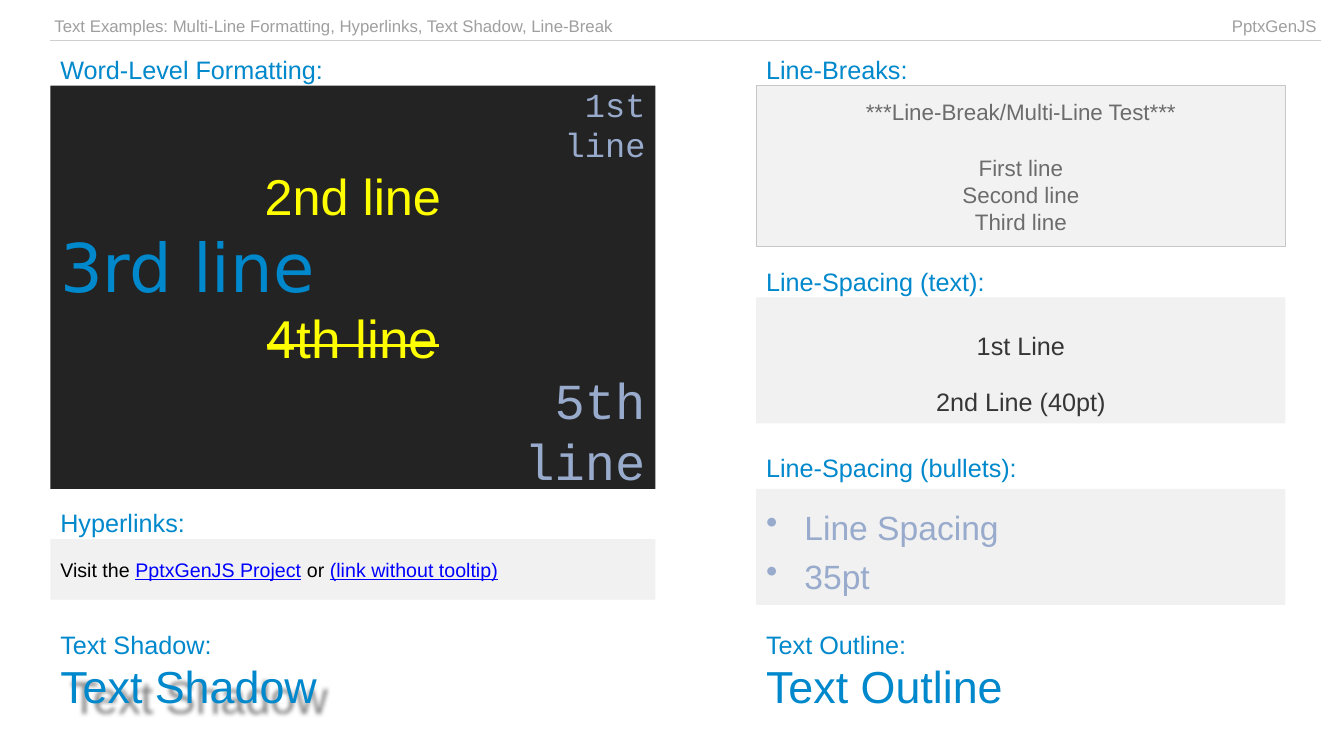
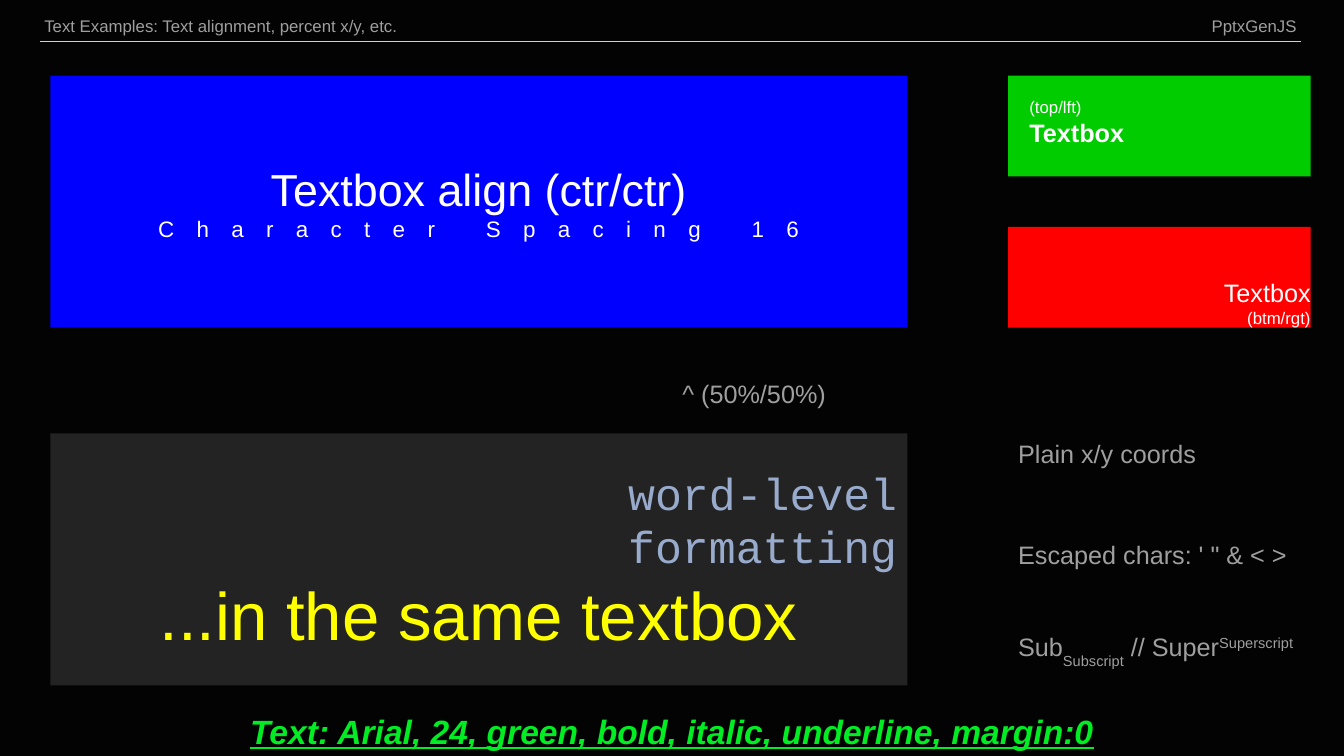
import dataclasses

import lxml.etree
import pptx
import pptx.dml.color
import pptx.enum.shapes
import pptx.enum.text
import pptx.oxml
import pptx.oxml.ns
import pptx.util

RGBColor = pptx.dml.color.RGBColor
Align = pptx.enum.text.PP_ALIGN
Anchor = pptx.enum.text.MSO_ANCHOR

EMU_PER_PX = 9144  # 100 px to the inch
SLIDE_WIDTH, SLIDE_HEIGHT = 1333, 750

WHITE = RGBColor(0xFF, 0xFF, 0xFF)
BLACK = RGBColor(0x00, 0x00, 0x00)
NEAR_BLACK = RGBColor(0x03, 0x03, 0x03)
CHARCOAL = RGBColor(0x23, 0x23, 0x23)
DARK_GRAY = RGBColor(0x36, 0x36, 0x36)
MEDIUM_GRAY = RGBColor(0x6C, 0x6C, 0x6C)
LABEL_GRAY = RGBColor(0x9F, 0x9F, 0x9F)
BORDER_GRAY = RGBColor(0xC7, 0xC7, 0xC7)
RULE_GRAY = RGBColor(0xCF, 0xCF, 0xCF)
PANEL_GRAY = RGBColor(0xF1, 0xF1, 0xF1)
BREAKS_GRAY = RGBColor(0xF2, 0xF2, 0xF2)
SHADOW_GRAY = RGBColor(0x69, 0x69, 0x69)
SKY_BLUE = RGBColor(0x00, 0x88, 0xCC)
PALE_BLUE = RGBColor(0x99, 0xAB, 0xCC)
LINK_BLUE = RGBColor(0x00, 0x00, 0xFF)
YELLOW = RGBColor(0xFF, 0xFF, 0x00)
RED = RGBColor(0xFF, 0x00, 0x00)
GREEN = RGBColor(0x00, 0xCC, 0x00)
OUTLINE_GREEN = RGBColor(0x00, 0xDD, 0x00)
BRIGHT_GREEN = RGBColor(0x00, 0xEC, 0x23)

SANS = "Arial"
MONO = "Courier New"
WIDE = "DejaVu Sans"
NO_TABLE_STYLE = "{2D5ABB26-0587-4C30-8999-92F81FD0307C}"
DRAWING_NAMESPACE = pptx.oxml.ns.nsdecls("a")


@dataclasses.dataclass
class Run:
    """Text with its font; extra holds raw run attributes such as baseline."""
    text: str
    size: int
    color: RGBColor
    name: str = SANS
    style: dict = dataclasses.field(default_factory=dict)
    extra: dict = dataclasses.field(default_factory=dict)
    outline: RGBColor = None


@dataclasses.dataclass
class Paragraph:
    runs: list
    align: Align = Align.LEFT
    layout: dict = dataclasses.field(default_factory=dict)
    bullet: bool = False


def px(length):
    return pptx.util.Emu(length * EMU_PER_PX)


def line(text, size, color, align=Align.LEFT, layout=None, bullet=False, **run_format):
    """Return a paragraph of one run."""
    return Paragraph([Run(text, size, color, **run_format)], align, layout or {}, bullet)


def set_attributes(target, values):
    for name, value in values.items():
        setattr(target, name, value)


def solid_line(tag, width, color):
    return pptx.oxml.parse_xml(
        f'<a:{tag} {DRAWING_NAMESPACE} w="{width}"><a:solidFill>'
        f'<a:srgbClr val="{color}"/></a:solidFill></a:{tag}>')


def write_run(paragraph, content):
    run = paragraph.add_run()
    run.text = content.text
    font_values = {"size": pptx.util.Pt(content.size), "name": content.name}
    set_attributes(run.font, font_values | content.style)
    run.font.color.rgb = content.color
    properties = run.font._element
    for name, value in content.extra.items():
        properties.set(name, value)
    if content.outline is not None:
        properties.insert(0, solid_line("ln", pptx.util.Pt(1.5), content.outline))


def add_bullet(paragraph, indent):
    properties = paragraph._p.get_or_add_pPr()
    properties.set("marL", str(px(indent)))
    properties.set("indent", str(-px(indent)))
    bullet = lxml.etree.SubElement(properties, pptx.oxml.ns.qn("a:buChar"))
    bullet.set("char", "•")


def write_paragraphs(text_frame, contents):
    for index, content in enumerate(contents):
        paragraph = text_frame.add_paragraph() if index else text_frame.paragraphs[0]
        if content.bullet:
            add_bullet(paragraph, 38)
        set_attributes(paragraph, {"alignment": content.align} | content.layout)
        for run in content.runs:
            write_run(paragraph, run)


def fill_text_frame(shape, contents, anchor, inset):
    text_frame = shape.text_frame
    set_attributes(text_frame, {"word_wrap": True, "vertical_anchor": anchor})
    if inset is not None:
        sides = ("margin_left", "margin_top", "margin_right", "margin_bottom")
        set_attributes(text_frame, dict.fromkeys(sides, px(inset)))
    write_paragraphs(text_frame, contents)


def add_text(slide, box, *contents, inset=None):
    shape = slide.shapes.add_textbox(*map(px, box))
    fill_text_frame(shape, contents, Anchor.MIDDLE, inset)
    return shape


def add_panel(slide, box, fill, *contents, border=None, anchor=Anchor.MIDDLE, inset=None):
    shape = slide.shapes.add_shape(
        pptx.enum.shapes.MSO_SHAPE.RECTANGLE, *map(px, box))
    shape.shadow.inherit = False
    shape.fill.solid()
    shape.fill.fore_color.rgb = fill
    if border is None:
        shape.line.fill.background()
    else:
        shape.line.color.rgb = border
        shape.line.width = pptx.util.Pt(0.75)
    fill_text_frame(shape, contents, anchor, inset)


def add_text_shadow(shape):
    distance, blur = pptx.util.Pt(10), pptx.util.Pt(3)
    shape._element.spPr.append(pptx.oxml.parse_xml(
        f'<a:effectLst {DRAWING_NAMESPACE}><a:outerShdw blurRad="{blur}" dist="{distance}" '
        f'dir="2700000" algn="bl" rotWithShape="0"><a:srgbClr val="{SHADOW_GRAY}">'
        f'<a:alpha val="80000"/></a:srgbClr></a:outerShdw></a:effectLst>'))


def add_header(slide, left, widths, title):
    """Add the title row, ruled along its bottom edge."""
    table = slide.shapes.add_table(
        1, 2, *map(px, (left, 13, sum(widths), 27))).table
    set_attributes(table, {"first_row": False, "horz_banding": False})
    table._tbl.tblPr.find(pptx.oxml.ns.qn("a:tableStyleId")).text = NO_TABLE_STYLE
    cells = ((title, Align.LEFT), ("PptxGenJS", Align.RIGHT))
    for index, (text, align) in enumerate(cells):
        table.columns[index].width = px(widths[index])
        cell = table.cell(0, index)
        sides = ("margin_left", "margin_top", "margin_right", "margin_bottom")
        set_attributes(cell, dict.fromkeys(sides, px(4)))
        cell.fill.background()
        cell._tc.get_or_add_tcPr().insert(
            0, solid_line("lnB", pptx.util.Pt(1), RULE_GRAY))
        write_paragraphs(cell.text_frame, [line(text, 12, LABEL_GRAY, align)])


def add_slide(presentation, background):
    slide = presentation.slides.add_slide(presentation.slide_layouts[6])
    slide.background.fill.solid()
    slide.background.fill.fore_color.rgb = background
    return slide


def build_formatting_slide(presentation):
    slide = add_slide(presentation, WHITE)
    add_header(slide, 50, (630, 630),
               "Text Examples: Multi-Line Formatting, Hyperlinks, Text Shadow, Line-Break")
    left, right, panel_width = 50, 750, 525

    headings = (
        (left, 50, "Word-Level Formatting:"),
        (left, 499, "Hyperlinks:"),
        (left, 620, "Text Shadow:"),
        (right, 50, "Line-Breaks:"),
        (right, 260, "Line-Spacing (text):"),
        (right, 445, "Line-Spacing (bullets):"),
        (right, 620, "Text Outline:"),
    )
    for x, y, heading in headings:
        add_text(slide, (x, y, 533, 38), line(heading, 18, SKY_BLUE))

    add_panel(
        slide, (left, 85, 600, 400), CHARCOAL,
        line("1st", 24, PALE_BLUE, Align.RIGHT, name=MONO),
        line("line", 24, PALE_BLUE, Align.RIGHT, name=MONO),
        line("2nd line", 36, YELLOW, Align.CENTER),
        line("3rd line", 48, SKY_BLUE, name=WIDE),
        line("4th line", 38, YELLOW, Align.CENTER, extra={"strike": "sngStrike"}),
        line("5th", 36, PALE_BLUE, Align.RIGHT, name=MONO),
        line("line", 36, PALE_BLUE, Align.RIGHT, name=MONO))

    link_style = {"underline": True}
    add_panel(slide, (left, 535, 600, 60), PANEL_GRAY, Paragraph([
        Run("Visit the ", 14, BLACK),
        Run("PptxGenJS Project", 14, LINK_BLUE, style=link_style),
        Run(" or ", 14, BLACK),
        Run("(link without tooltip)", 14, LINK_BLUE, style=link_style)]))

    after_gap = {"space_before": pptx.util.Pt(21)}
    breaks = (("***Line-Break/Multi-Line Test***", {}), ("First line", after_gap),
              ("Second line", {}), ("Third line", {}))
    add_panel(
        slide, (right, 85, panel_width, 160), BREAKS_GRAY,
        *(line(text, 16, MEDIUM_GRAY, Align.CENTER, layout) for text, layout in breaks),
        border=BORDER_GRAY)

    wide_spacing = {"line_spacing": pptx.util.Pt(40)}
    add_panel(
        slide, (right, 295, panel_width, 125), PANEL_GRAY,
        *(line(text, 18, DARK_GRAY, Align.CENTER, wide_spacing)
          for text in ("1st Line", "2nd Line (40pt)")))

    bullet_spacing = {"line_spacing": pptx.util.Pt(35)}
    add_panel(
        slide, (right, 485, panel_width, 115), PANEL_GRAY,
        *(line(text, 24, PALE_BLUE, layout=bullet_spacing, bullet=True)
          for text in ("Line Spacing", "35pt")))

    shadowed = add_text(slide, (left, 650, 533, 60), line("Text Shadow", 32, SKY_BLUE))
    add_text_shadow(shadowed)
    add_text(slide, (right, 650, 533, 60),
             line("Text Outline", 32, SKY_BLUE, outline=OUTLINE_GREEN))


def build_alignment_slide(presentation):
    slide = add_slide(presentation, NEAR_BLACK)
    add_header(slide, 40, (900, 350), "Text Examples: Text alignment, percent x/y, etc.")
    left, right = 50, 1000

    add_panel(
        slide, (left, 75, 850, 250), LINK_BLUE,
        line("Textbox align (ctr/ctr)", 32, WHITE, Align.CENTER),
        line("Character Spacing 16", 16, WHITE, Align.CENTER, extra={"spc": "1600"}))
    add_panel(
        slide, (right, 75, 300, 100), GREEN,
        line("(top/lft)", 12, WHITE),
        line("Textbox", 18, WHITE, style={"bold": True}),
        anchor=Anchor.TOP, inset=21)
    add_panel(
        slide, (right, 225, 300, 100), RED,
        line("Textbox", 18, WHITE, Align.RIGHT),
        line("(btm/rgt)", 12, WHITE, Align.RIGHT),
        anchor=Anchor.BOTTOM, inset=0)

    labels = (
        (667, 375, 200, "^ (50%/50%)"),
        (right, 435, 300, "Plain x/y coords"),
        (right, 535, 300, "Escaped chars: ' \" & < >"),
    )
    for x, y, width, label in labels:
        add_text(slide, (x, y, width, 30), line(label, 18, LABEL_GRAY))
    add_text(slide, (right, 630, 330, 30), Paragraph([
        Run("Sub", 18, LABEL_GRAY),
        Run("Subscript", 18, LABEL_GRAY, extra={"baseline": "-40000"}),
        Run(" // Super", 18, LABEL_GRAY),
        Run("Superscript", 18, LABEL_GRAY, extra={"baseline": "30000"})]))

    add_panel(
        slide, (left, 430, 850, 250), CHARCOAL,
        line("word-level", 32, PALE_BLUE, Align.RIGHT, name=MONO),
        line("formatting", 32, PALE_BLUE, Align.RIGHT, name=MONO),
        line("...in the same textbox", 48, YELLOW, Align.CENTER))
    add_text(
        slide, (0, 700, SLIDE_WIDTH, 50),
        line("Text: Arial, 24, green, bold, italic, underline, margin:0", 24,
             BRIGHT_GREEN, Align.CENTER,
             style={"bold": True, "italic": True, "underline": True}),
        inset=0)


def main():
    presentation = pptx.Presentation()
    presentation.slide_width = px(SLIDE_WIDTH)
    presentation.slide_height = px(SLIDE_HEIGHT)
    build_formatting_slide(presentation)
    build_alignment_slide(presentation)
    presentation.save("out.pptx")


if __name__ == "__main__":
    main()
